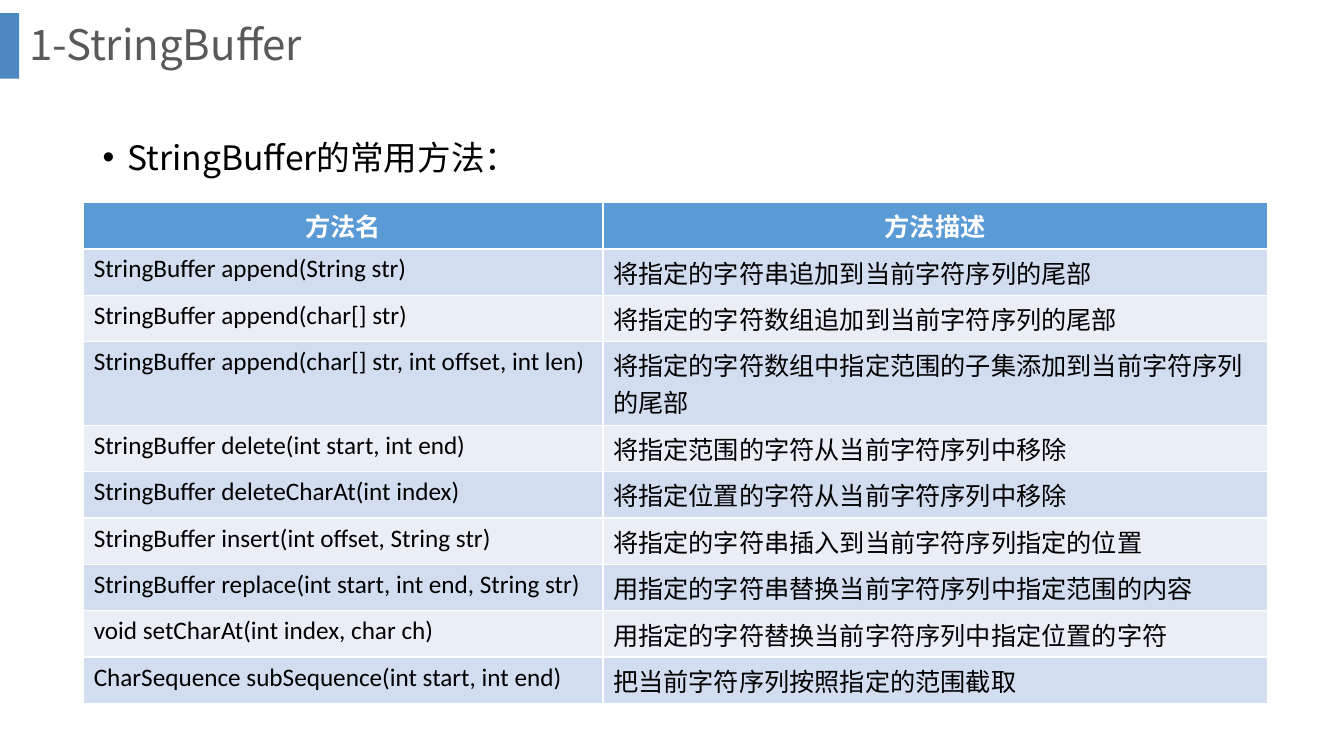
from dataclasses import dataclass

from lxml.etree import SubElement
from pptx import Presentation
from pptx.dml.color import RGBColor
from pptx.enum.shapes import MSO_SHAPE as Shape
from pptx.enum.text import MSO_ANCHOR as Anchor, PP_ALIGN as Align
from pptx.oxml.ns import qn
from pptx.util import Inches, Pt


@dataclass(frozen=True)
class Theme:
    accent: str = "2E75B6"
    accent_alpha: int = 85000
    title: str = "595959"
    text: str = "000000"
    white: str = "FFFFFF"
    header: str = "5B9BD5"
    bands: tuple = ("D2DEEF", "EAEFF7")
    heading_font: str = "Noto Sans CJK SC"
    table_font: str = "Calibri"
    title_size: int = 30
    body_size: int = 24
    table_size: int = 18


THEME = Theme()

HEADER = ("方法名", "方法描述")
METHODS = (
    ("StringBuffer append(String str)", "将指定的字符串追加到当前字符序列的尾部"),
    ("StringBuffer append(char[] str)", "将指定的字符数组追加到当前字符序列的尾部"),
    ("StringBuffer append(char[] str, int offset, int len)",
     "将指定的字符数组中指定范围的子集添加到当前字符序列的尾部"),
    ("StringBuffer delete(int start, int end)", "将指定范围的字符从当前字符序列中移除"),
    ("StringBuffer deleteCharAt(int index)", "将指定位置的字符从当前字符序列中移除"),
    ("StringBuffer insert(int offset, String str)", "将指定的字符串插入到当前字符序列指定的位置"),
    ("StringBuffer replace(int start, int end, String str)",
     "用指定的字符串替换当前字符序列中指定范围的内容"),
    ("void setCharAt(int index, char ch)", "用指定的字符替换当前字符序列中指定位置的字符"),
    ("CharSequence subSequence(int start, int end)", "把当前字符序列按照指定的范围截取"),
)
LINE_CAPACITY = 25  # Chinese characters on one line of the description column


def write(paragraph, text, size, color, font, bold=False):
    """Put styled text in a paragraph, with one East Asian face throughout."""
    run = paragraph.add_run()
    run.text = text
    paragraph.font.size = Pt(size)
    paragraph.font.name = font
    paragraph.font.bold = bold
    paragraph.font.color.rgb = RGBColor.from_string(color)
    properties = run.font._element
    SubElement(properties, qn("a:ea"), typeface=THEME.heading_font)


def add_text_box(slide, left, top, width, height, anchor):
    box = slide.shapes.add_textbox(
        Inches(left), Inches(top), Inches(width), Inches(height))
    box.text_frame.word_wrap = True
    box.text_frame.vertical_anchor = anchor
    return box.text_frame.paragraphs[0]


def add_title(slide, text, left, top, width, height):
    """Place the accent bar at the left edge and the title beside it."""
    bar_width = 0.19
    bar = slide.shapes.add_shape(
        Shape.RECTANGLE, Inches(left), Inches(top + 0.13),
        Inches(bar_width), Inches(0.65))
    bar.shadow.inherit = False
    bar.line.fill.background()
    bar.fill.solid()
    bar.fill.fore_color.rgb = RGBColor.from_string(THEME.accent)
    color = bar._element.spPr.find(qn("a:solidFill"))[0]
    SubElement(color, qn("a:alpha"), val=str(THEME.accent_alpha))

    paragraph = add_text_box(
        slide, left + bar_width, top, width - bar_width, height, Anchor.MIDDLE)
    paragraph.line_spacing = 0.9
    write(paragraph, text, THEME.title_size, THEME.title, THEME.heading_font)


def add_bullet(slide, text, left, top, width, height):
    paragraph = add_text_box(slide, left, top, width, height, Anchor.TOP)
    paragraph.line_spacing = 1.5
    properties = paragraph._p.get_or_add_pPr()
    properties.set("marL", str(Inches(0.25)))
    properties.set("indent", str(-Inches(0.25)))
    SubElement(properties, qn("a:buFont"), typeface="Arial")
    SubElement(properties, qn("a:buChar"), char="•")
    write(paragraph, text, THEME.body_size, THEME.text, THEME.heading_font)


def add_method_table(slide, left, top, column_widths, row_height, tall_height):
    """Add the table; rows whose description wraps get the tall height."""
    rows = (HEADER,) + METHODS
    heights = [tall_height if len(description) > LINE_CAPACITY else row_height
               for _, description in rows]
    table = slide.shapes.add_table(
        len(rows), len(HEADER), Inches(left), Inches(top),
        Inches(sum(column_widths)), Inches(sum(heights))).table
    for column, width in zip(table.columns, column_widths):
        column.width = Inches(width)
    for index, (texts, height) in enumerate(zip(rows, heights)):
        table.rows[index].height = Inches(height)
        is_header = index == 0
        fill = THEME.header if is_header else THEME.bands[(index - 1) % 2]
        for cell, text in zip(table.rows[index].cells, texts):
            cell.fill.solid()
            cell.fill.fore_color.rgb = RGBColor.from_string(fill)
            paragraph = cell.text_frame.paragraphs[0]
            paragraph.alignment = Align.CENTER if is_header else Align.LEFT
            write(paragraph, text, THEME.table_size,
                  THEME.white if is_header else THEME.text,
                  THEME.table_font, bold=is_header)


def main():
    presentation = Presentation()
    presentation.slide_width = Inches(13.33)
    presentation.slide_height = Inches(7.5)
    slide = presentation.slides.add_slide(presentation.slide_layouts[6])
    add_title(slide, "1-StringBuffer", 0, 0, 12.85, 0.93)
    add_bullet(slide, "StringBuffer的常用方法：", 0.92, 1.11, 11.5, 5.77)
    add_method_table(slide, 0.83, 2.01, (5.15, 6.59), 0.46, 0.83)
    presentation.save("out.pptx")


if __name__ == "__main__":
    main()
